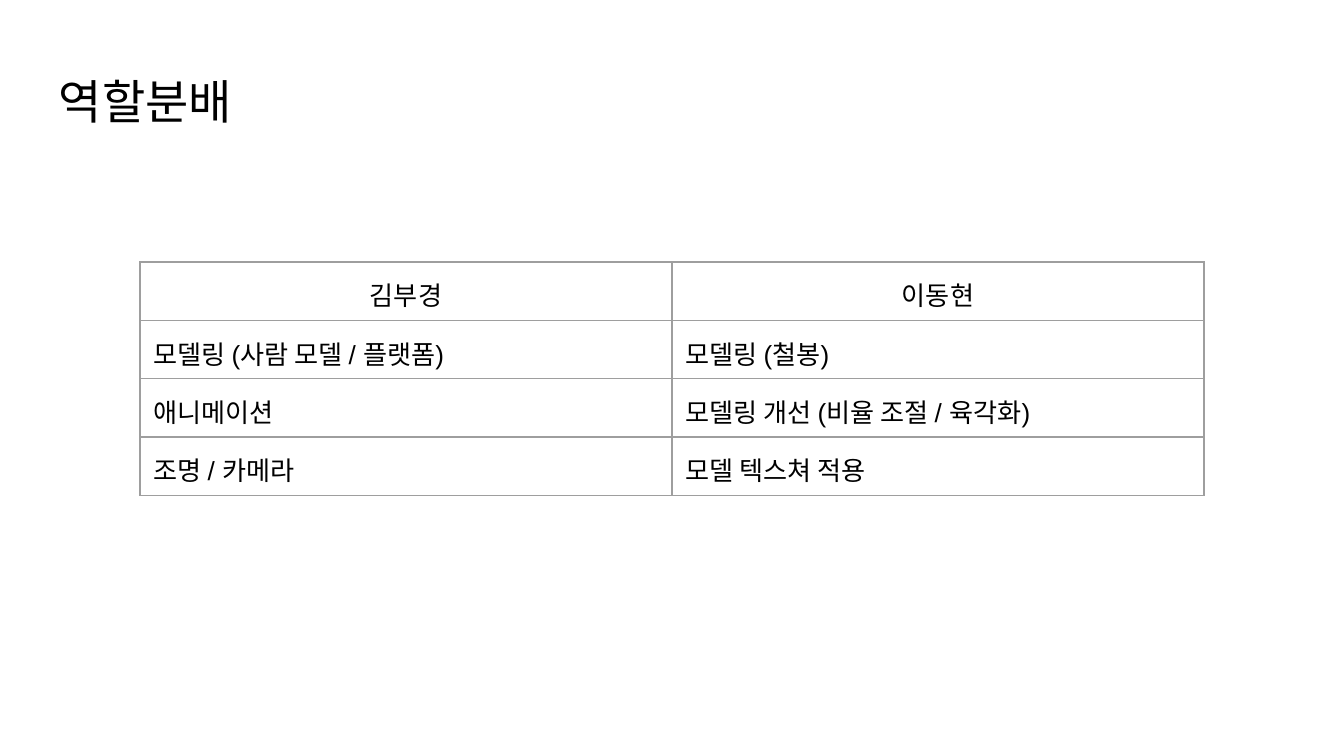
from lxml import etree
from pptx import Presentation
from pptx.dml.color import RGBColor
from pptx.enum.text import MSO_ANCHOR, PP_ALIGN
from pptx.oxml.ns import qn
from pptx.util import Pt

CENTER, LEFT = PP_ALIGN.CENTER, PP_ALIGN.LEFT
TOP = MSO_ANCHOR.TOP
BLACK = RGBColor(0x00, 0x00, 0x00)
GREY = RGBColor(0x9E, 0x9E, 0x9E)
FONT = "Arial"
INSET = Pt(7.2)

ROLES = [
    ("김부경", "이동현"),
    ("모델링 (사람 모델 / 플랫폼)", "모델링 (철봉)"),
    ("애니메이션", "모델링 개선 (비율 조절 / 육각화)"),
    ("조명 / 카메라", "모델 텍스쳐 적용"),
]


def set_text(text_frame, text, size, alignment=LEFT):
    paragraph = text_frame.paragraphs[0]
    paragraph.text = text
    paragraph.alignment = alignment
    paragraph.font.name = FONT
    paragraph.font.size = Pt(size)
    paragraph.font.color.rgb = BLACK
    return paragraph


def set_insets(target):
    target.margin_left = target.margin_right = INSET
    target.margin_top = target.margin_bottom = INSET


def set_borders(cell, color, width):
    properties = cell._tc.get_or_add_tcPr()
    for index, side in enumerate(("a:lnL", "a:lnR", "a:lnT", "a:lnB")):
        line = etree.Element(qn(side), w=str(Pt(width)))
        fill = etree.SubElement(line, qn("a:solidFill"))
        etree.SubElement(fill, qn("a:srgbClr"), val=str(color))
        properties.insert(index, line)


def add_title(slide, text, left, top, width, height):
    shape = slide.shapes.add_textbox(Pt(left), Pt(top), Pt(width), Pt(height))
    text_frame = shape.text_frame
    text_frame.word_wrap = True
    text_frame.vertical_anchor = TOP
    set_insets(text_frame)
    set_text(text_frame, text, 25.2).line_spacing = 0.9


def add_role_table(slide, roles, left, top, width, height):
    shape = slide.shapes.add_table(
        len(roles), len(roles[0]), Pt(left), Pt(top), Pt(width), Pt(height)
    )
    table = shape.table
    table.first_row = table.horz_banding = False
    for row_index, row in enumerate(roles):
        for column_index, text in enumerate(row):
            cell = table.cell(row_index, column_index)
            cell.fill.background()
            set_insets(cell)
            set_borders(cell, GREY, 0.75)
            set_text(cell.text_frame, text, 14, LEFT if row_index else CENTER)


presentation = Presentation()
presentation.slide_width = Pt(720)
presentation.slide_height = Pt(405)
slide = presentation.slides.add_slide(presentation.slide_layouts[6])
add_title(slide, "역할분배", 24.5, 35, 671, 45.1)
add_role_table(slide, ROLES, 75, 140.4, 570, 120.8)
presentation.save("out.pptx")
